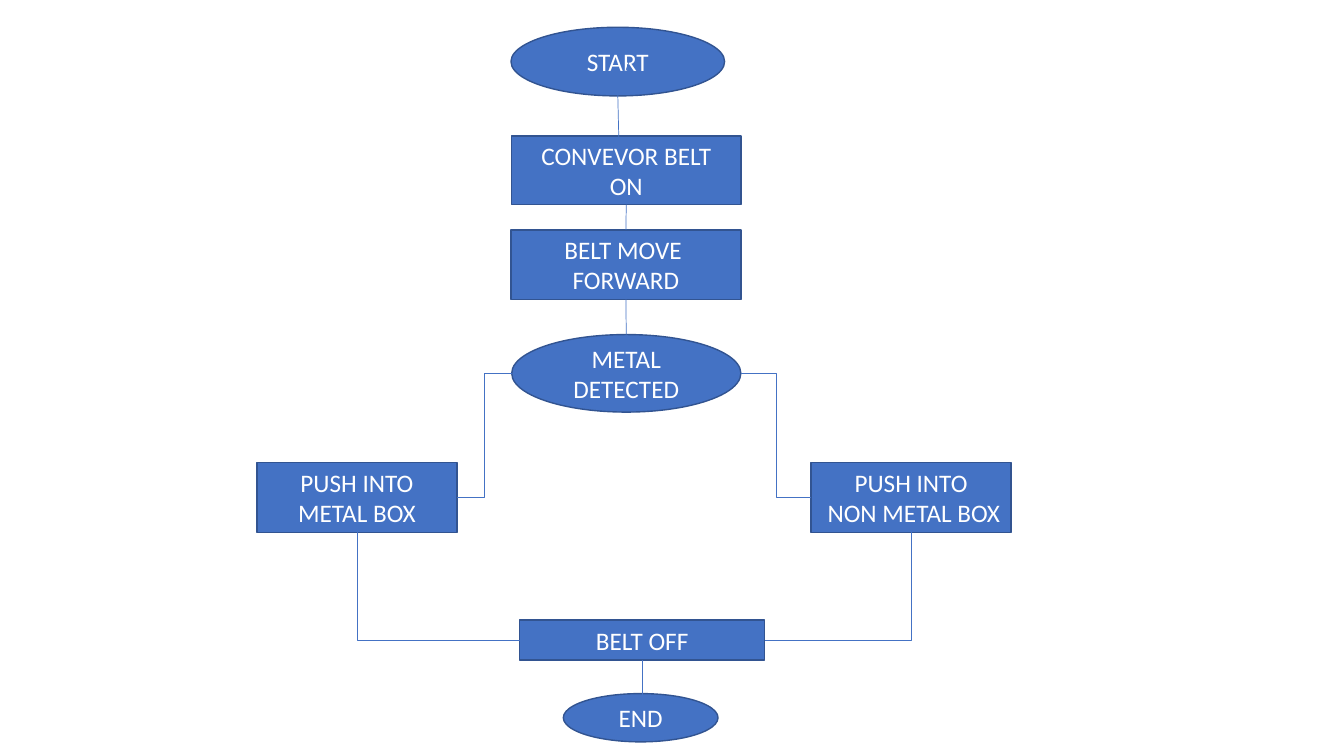
from lxml.etree import SubElement
from pptx import Presentation
from pptx.dml.color import RGBColor
from pptx.enum.shapes import MSO_CONNECTOR, MSO_SHAPE
from pptx.enum.text import MSO_ANCHOR, PP_ALIGN
from pptx.oxml.ns import qn
from pptx.util import Pt

COLORS = {"fill": "4472C4", "outline": "325491", "text": "FFFFFF"}
OVAL, RECT = MSO_SHAPE.OVAL, MSO_SHAPE.RECTANGLE

# name: (shape, paragraphs, left, top, width, height)
STEPS = {
    "start": (OVAL, ["START"], 365, 19.5, 152.6, 49),
    "belt on": (RECT, ["CONVEVOR BELT", "ON"], 365.5, 97.2, 163.7, 49),
    "forward": (RECT, ["BELT MOVE ", "FORWARD"], 365, 164.2, 164.2, 49.7),
    "metal": (RECT, ["PUSH INTO METAL BOX"], 183.6, 330.5, 142.8, 49.7),
    "non metal": (RECT, ["PUSH INTO", " NON METAL BOX"], 579.4, 330.5, 142.8, 49.7),
    "belt off": (RECT, ["BELT OFF"], 371.2, 442.8, 175, 28.8),
    "end": (OVAL, ["END"], 402.4, 495.4, 110.5, 34.5),
    "detected": (OVAL, ["METAL DETECTED"], 365.5, 239, 163.7, 55.4),
}

# preset, (step, side), (step, side)
LINKS = [
    ("line", ("belt on", "bottom"), ("forward", "top")),
    ("line", ("forward", "bottom"), ("detected", "top")),
    ("bentConnector3", ("detected", "left"), ("metal", "right")),
    ("bentConnector3", ("detected", "right"), ("non metal", "left")),
    ("bentConnector2", ("belt off", "right"), ("non metal", "bottom")),
    ("bentConnector2", ("belt off", "left"), ("metal", "bottom")),
]
# lines that leave a step and stop at a free point
FREE_LINES = [
    (("start", "bottom"), (449.3, 43.9)),
    (("start", "bottom"), (442.1, 102.2)),
    (("belt off", "bottom"), (458.7, 506.2)),
]


def rgb(name):
    return RGBColor.from_string(COLORS[name])


def add_text(tf, paragraphs, size=18, font="Calibri", color="text", align=PP_ALIGN.CENTER):
    tf.word_wrap = True
    tf.vertical_anchor = MSO_ANCHOR.MIDDLE
    for i, text in enumerate(paragraphs):
        p = tf.paragraphs[0] if i == 0 else tf.add_paragraph()
        p.alignment = align
        r = p.add_run()
        r.text = text
        r.font.size = Pt(size)
        r.font.name = font
        r.font.color.rgb = rgb(color)


def add_step(s, shape, paragraphs, *box):
    sp = s.shapes.add_shape(shape, *(Pt(v) for v in box))
    sp.shadow.inherit = False
    sp.fill.solid()
    sp.fill.fore_color.rgb = rgb("fill")
    sp.line.color.rgb = rgb("outline")
    sp.line.width = Pt(1)
    add_text(sp.text_frame, paragraphs)


def side_point(step, side):
    """Middle of one side of a step, in points."""
    x, y, w, h = STEPS[step][2:]
    return {
        "top": (x + w / 2, y),
        "bottom": (x + w / 2, y + h),
        "left": (x, y + h / 2),
        "right": (x + w, y + h / 2),
    }[side]


def add_link(s, preset, start, end):
    kind = MSO_CONNECTOR.STRAIGHT if preset == "line" else MSO_CONNECTOR.ELBOW
    c = s.shapes.add_connector(kind, *(Pt(v) for v in start + end))
    c.line.color.rgb = rgb("fill")
    c.line.width = Pt(0.5)
    spPr = c._element.spPr
    spPr.find(qn("a:prstGeom")).set("prst", preset)
    SubElement(spPr, qn("a:effectLst"))


def main():
    prs = Presentation()
    prs.slide_width, prs.slide_height = Pt(960), Pt(540)
    s = prs.slides.add_slide(prs.slide_layouts[6])
    for step in STEPS.values():
        add_step(s, *step)
    for start, end in FREE_LINES:
        add_link(s, "line", side_point(*start), end)
    for preset, start, end in LINKS:
        add_link(s, preset, side_point(*start), side_point(*end))
    prs.save("out.pptx")


if __name__ == "__main__":
    main()
